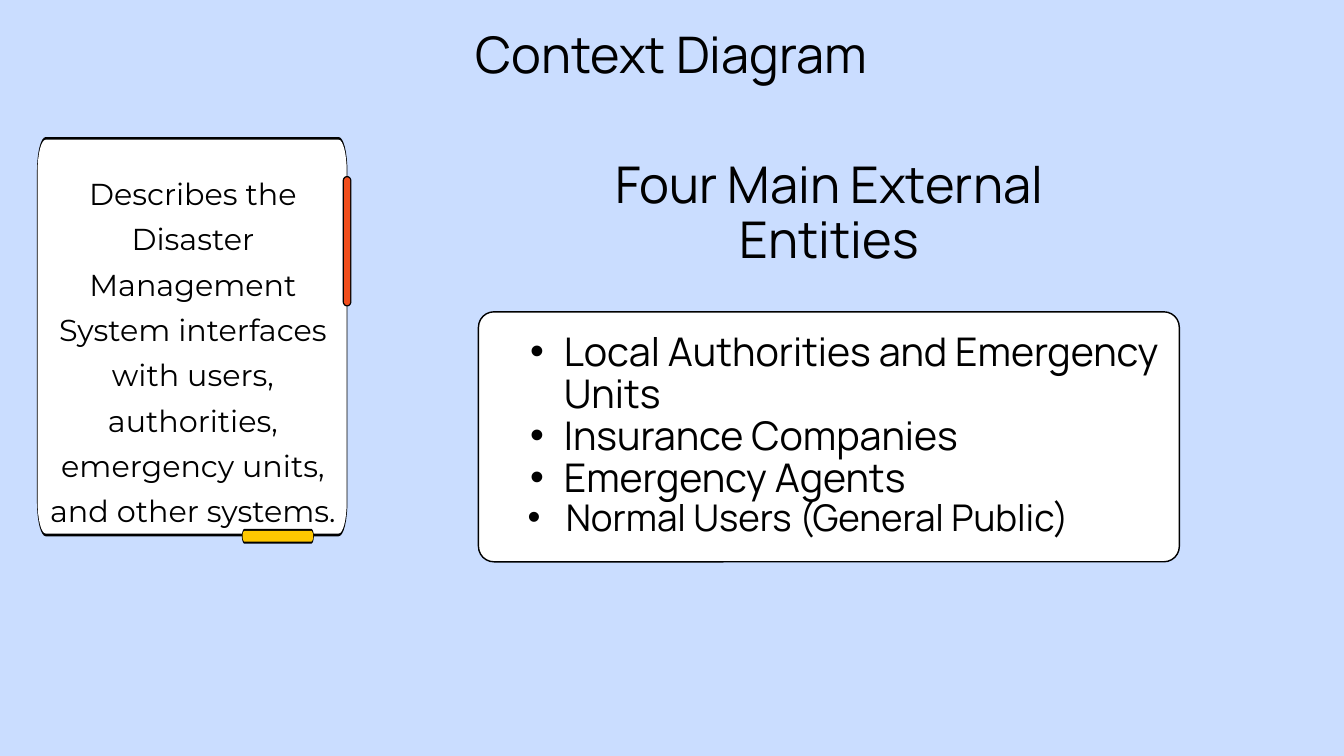
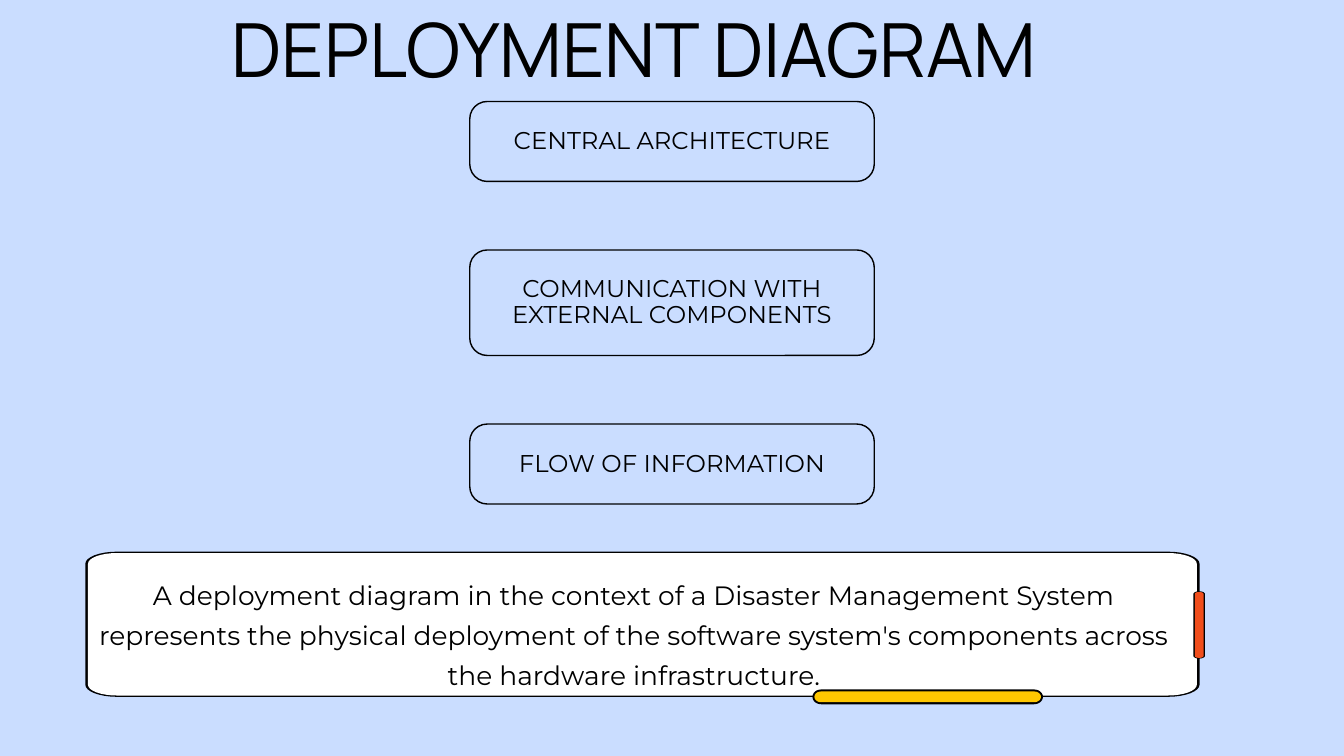
"""Builds two slides on the context and deployment diagrams of a disaster management system."""
from math import cos, pi, sin

from pptx import Presentation
from pptx.dml.color import RGBColor
from pptx.enum.shapes import MSO_SHAPE as Preset
from pptx.enum.text import MSO_ANCHOR as Anchor, MSO_AUTO_SIZE as AutoSize, PP_ALIGN as Align
from pptx.oxml.ns import qn
from pptx.util import Inches, Pt
from lxml.etree import SubElement

COLORS = {"sky": "CADDFF", "white": "FFFFFF", "ink": "000000",
          "yellow": "FFC700", "orange": "F14E1C"}
HEAD_FONT, TEXT_FONT = "Manrope", "Montserrat"

CONTEXT_TITLE = "Context Diagram"
CONTEXT_NOTE = ("Describes the Disaster Management System interfaces with users, "
                "authorities, emergency units, and other systems.")
ENTITIES_HEADING = "Four Main External Entities"
ENTITIES = [
    ("Local Authorities and Emergency Units", 42.3, 44.9, 1, 0.5),
    ("Insurance Companies", 42.3, 44.9, 1, 0.5),
    ("Emergency Agents", 42.3, 44.9, 1, 0.5),
    ("Normal Users (General Public)", 39.4, 41.8, 1.03, 0.57),
]
DEPLOYMENT_TITLE = "DEPLOYMENT DIAGRAM"
DEPLOYMENT_NOTE = ("A deployment diagram in the context of a Disaster Management System "
                   "represents the physical deployment of the software system's components "
                   "across the hardware infrastructure.")
TOPICS = [("CENTRAL ARCHITECTURE", 1.19),
          ("COMMUNICATION WITH EXTERNAL COMPONENTS", 1.57),
          ("FLOW OF INFORMATION", 1.19)]
TOPIC_LEFT, TOPIC_TOP, TOPIC_WIDTH, TOPIC_GAP = 6.99, 1.51, 6.02, 1.02

# (area, corner radii, border thickness, fill)
CONTEXT_PLATES = [
    ((0.55, 2.04, 4.62, 5.94), (0.13, 0.51), (0.01, 0.04), "white"),
    ((3.6, 7.87, 1.07, 0.22), (0.04, 0.11), (0.01, 0.03), "yellow"),
    ((5.1, 2.62, 0.13, 1.94), (0.065, 0.07), (0.02, 0.02), "orange"),
]
DEPLOYMENT_PLATES = [
    ((1.27, 8.21, 16.58, 2.16), (0.47, 0.18), (0.04, 0.02), "white"),
    ((12.09, 10.26, 3.43, 0.22), (0.13, 0.11), (0.03, 0.03), "yellow"),
    ((17.76, 8.8, 0.17, 1), (0.08, 0.04), (0.02, 0.01), "orange"),
]


def color(name):
    return RGBColor.from_string(COLORS[name])


def paint(shape, fill, line_width=0):
    shape.shadow.inherit = False
    shape.fill.solid()
    shape.fill.fore_color.rgb = color(fill)
    if line_width:
        shape.line.color.rgb = color("ink")
        shape.line.width = Pt(line_width)
    else:
        shape.line.fill.background()


def style(para, font, size, spacing, align):
    para.alignment = align
    para.line_spacing = Pt(spacing)
    para.space_before = Pt(0)
    for span in para.runs:
        span.font.name = font
        span.font.size = Pt(size)
        span.font.color.rgb = color("ink")


def prepare(box, area=None, inset=0, anchor=Anchor.TOP):
    if area:
        box.left, box.top, box.width, box.height = map(Inches, area)
    frame = box.text_frame
    frame.word_wrap = True
    frame.auto_size = AutoSize.NONE
    frame.vertical_anchor = anchor
    frame.margin_left = frame.margin_right = Inches(inset)
    frame.margin_top = frame.margin_bottom = 0
    return frame


def write(box, text, font, size, spacing, area=None, align=Align.CENTER, **layout):
    frame = prepare(box, area, **layout)
    frame.text = text
    style(frame.paragraphs[0], font, size, spacing, align)


def add_text(page, area, *text_style):
    write(page.shapes.add_textbox(*map(Inches, area)), *text_style)


def add_outline(page, area, radii, fill):
    left, top, width, height = area
    rx, ry = radii
    centers = [(left + width - rx, top + height - ry), (left + rx, top + height - ry),
               (left + rx, top + ry), (left + width - rx, top + ry)]
    points = []
    for quarter, (x, y) in enumerate(centers):
        for step in range(9):
            angle = (quarter + step / 8) * pi / 2
            points.append((Inches(x + rx * cos(angle)), Inches(y + ry * sin(angle))))
    builder = page.shapes.build_freeform(*points[0])
    builder.add_line_segments(points[1:], close=True)
    paint(builder.convert_to_shape(), fill)


def add_plate(page, area, radii, border, fill):
    left, top, width, height = area
    edge_x, edge_y = border
    inner = (left + edge_x, top + edge_y, width - 2 * edge_x, height - 2 * edge_y)
    add_outline(page, area, radii, "ink")
    add_outline(page, inner, (radii[0] - edge_x, radii[1] - edge_y), fill)


def add_rounded(page, area, radius, fill):
    box = page.shapes.add_shape(Preset.ROUNDED_RECTANGLE, *map(Inches, area))
    box.adjustments[0] = radius / min(area[2:])
    paint(box, fill, 1.5)
    return box


def add_page(deck, layout, plates):
    page = deck.slides.add_slide(deck.slide_layouts[layout])
    for plate in plates:
        add_plate(page, *plate)
    return page


def build_context(deck):
    page = add_page(deck, 1, CONTEXT_PLATES)
    write(page.shapes.title, CONTEXT_TITLE, HEAD_FONT, 54, 58.3, (4.07, 0.43, 11.85, 0.89))
    add_text(page, (0.65, 2.47, 4.44, 5.3), CONTEXT_NOTE, TEXT_FONT, 32.4, 48.6)
    add_rounded(page, (7.12, 4.64, 10.43, 3.72), 0.23, "white")
    add_text(page, (9.12, 2.37, 6.44, 1.71), ENTITIES_HEADING, HEAD_FONT, 54.2, 58.5)

    body = page.placeholders[1]
    page.shapes._spTree.append(body._element)
    frame = prepare(body, (7.39, 4.95, 9.9, 3.11))
    frame.text = "\n".join(entity[0] for entity in ENTITIES)
    for para, (_, size, spacing, margin, hang) in zip(frame.paragraphs, ENTITIES):
        para.level = 1
        properties = para._p.get_or_add_pPr()
        properties.set("marL", str(Inches(margin)))
        properties.set("indent", str(-Inches(hang)))
        SubElement(properties, qn("a:buChar")).set("char", "•")
        style(para, HEAD_FONT, size, spacing, Align.LEFT)


def build_deployment(deck):
    page = add_page(deck, 5, DEPLOYMENT_PLATES)
    write(page.shapes.title, DEPLOYMENT_TITLE, HEAD_FONT, 80, 80.8,
          (3.45, 0.26, 13.11, 1.25), Align.LEFT)
    add_text(page, (1.27, 8.5, 16.33, 1.7), DEPLOYMENT_NOTE, TEXT_FONT, 28.4, 42.6)
    top = TOPIC_TOP
    for topic, height in TOPICS:
        box = add_rounded(page, (TOPIC_LEFT, top, TOPIC_WIDTH, height), 0.26, "sky")
        write(box, topic, TEXT_FONT, 26, 27.6, inset=0.25, anchor=Anchor.MIDDLE)
        top += height + TOPIC_GAP


def main():
    deck = Presentation()
    deck.slide_width, deck.slide_height = Inches(20), Inches(11.25)
    background = deck.slide_master.background.fill
    background.solid()
    background.fore_color.rgb = color("sky")
    build_context(deck)
    build_deployment(deck)
    deck.save("out.pptx")


if __name__ == "__main__":
    main()
